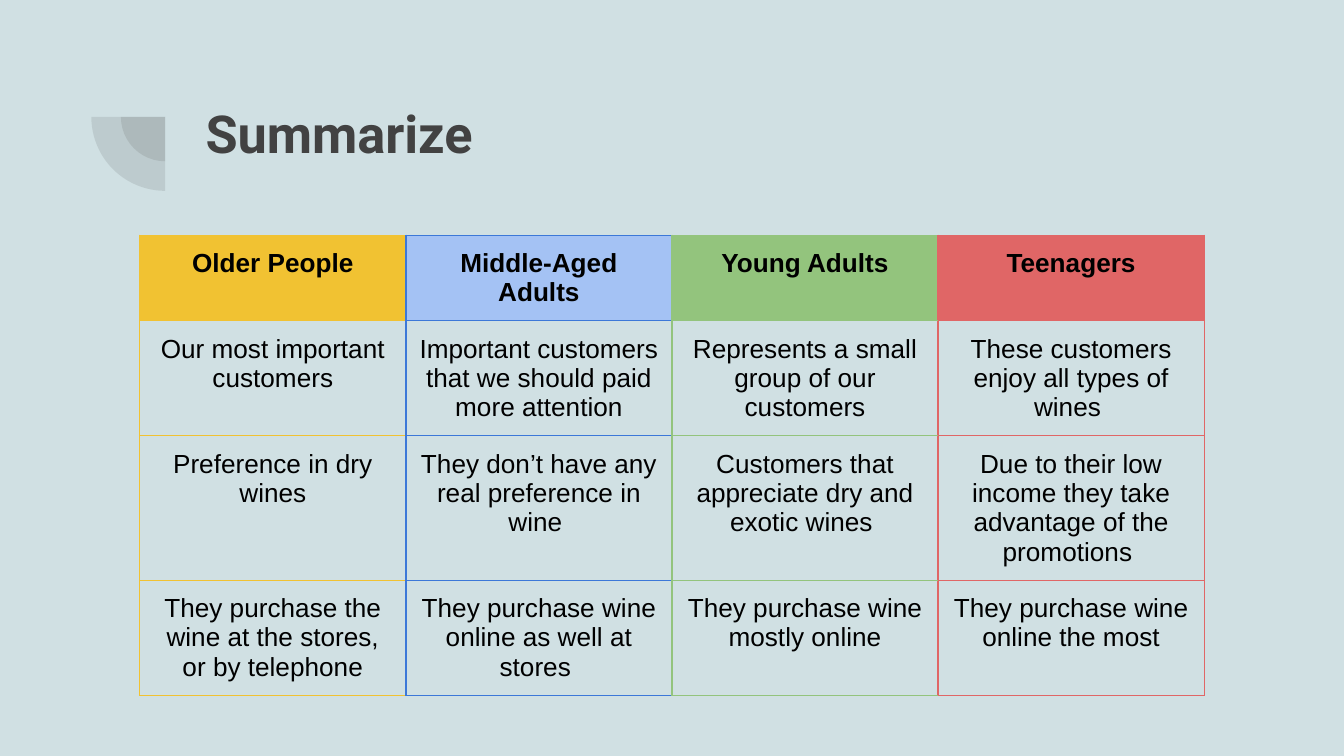
from dataclasses import dataclass

from lxml.etree import SubElement
from pptx import Presentation
from pptx.dml.color import RGBColor as RGB
from pptx.enum.shapes import MSO_SHAPE as SHAPE
from pptx.enum.text import MSO_ANCHOR as ANCHOR, PP_ALIGN as ALIGN
from pptx.oxml.ns import qn
from pptx.util import Inches, Pt


@dataclass(frozen=True)
class Theme:
    """Colours, fonts and type sizes of the slide."""
    background: str = "D0E0E3"
    dark: str = "424242"
    text: str = "000000"
    title_font: str = "Roboto"
    body_font: str = "Arial"
    title_size: int = 28
    body_size: int = 14
    border_width: float = 0.75
    inset: float = 0.1
    pie_alpha: int = 13
    header_fills: tuple = ("F1C232", "A4C2F4", "93C47D", "E06666")
    borders: tuple = ("F1C232", "3C78D8", "93C47D", "E06666")


def write(tf, text, *, font, size, color, bold=False, align=ALIGN.LEFT):
    """Put one formatted paragraph in a text frame."""
    p = tf.paragraphs[0]
    p.alignment = align
    r = p.add_run()
    r.text = text
    r.font.name, r.font.size, r.font.bold = font, Pt(size), bold
    r.font.color.rgb = RGB.from_string(color)


class Deck:
    """Holds the theme and the current slide."""

    def __init__(self, prs, theme):
        """Add a title-only slide with the theme's background."""
        self.theme = theme
        self.s = prs.slides.add_slide(prs.slide_layouts[5])
        fill = self.s.background.fill
        fill.solid()
        fill.fore_color.rgb = RGB.from_string(theme.background)

    def quarter(self, cx, cy, radius):
        """Draw a translucent lower-left quarter disc around a centre."""
        sp = self.s.shapes.add_shape(
            SHAPE.PIE, Inches(cx - radius), Inches(cy - radius),
            Inches(2 * radius), Inches(2 * radius))
        sp.adjustments[0], sp.adjustments[1] = 108, 162
        sp.rotation = 270
        sp.shadow.inherit = False
        sp.line.fill.background()
        sp.fill.solid()
        sp.fill.fore_color.rgb = RGB.from_string(self.theme.dark)
        color = sp.fill._xPr.find(".//" + qn("a:srgbClr"))
        SubElement(color, qn("a:alpha"), val=str(self.theme.pie_alpha * 1000))

    def title(self, text, left, top, width, height):
        """Place and fill the title placeholder."""
        t, sp = self.theme, self.s.shapes.title
        sp.left, sp.top = Inches(left), Inches(top)
        sp.width, sp.height = Inches(width), Inches(height)
        tf = sp.text_frame
        tf.word_wrap, tf.vertical_anchor = True, ANCHOR.TOP
        tf.margin_left = tf.margin_right = Inches(t.inset)
        tf.margin_top = tf.margin_bottom = Inches(t.inset)
        write(tf, text, font=t.title_font, size=t.title_size, color=t.dark, bold=True)

    def border(self, cell, side, color):
        """Draw one side of a cell."""
        ln = SubElement(cell._tc.get_or_add_tcPr(), qn(f"a:ln{side}"),
                        w=str(Pt(self.theme.border_width)))
        SubElement(SubElement(ln, qn("a:solidFill")), qn("a:srgbClr"), val=color)

    def cell(self, cell, text, col, header):
        """Fill and format one table cell in its column's colours."""
        t = self.theme
        own = t.borders[col]
        following = t.borders[min(col + 1, len(t.borders) - 1)]
        for side, color in zip("LRTB", (own, following, own, own)):
            self.border(cell, side, color)
        if header:
            cell.fill.solid()
            cell.fill.fore_color.rgb = RGB.from_string(t.header_fills[col])
        else:
            cell.fill.background()
        cell.margin_left = cell.margin_right = Inches(t.inset)
        cell.margin_top = cell.margin_bottom = Inches(t.inset)
        write(cell.text_frame, text, font=t.body_font, size=t.body_size,
              color=t.text, bold=header, align=ALIGN.CENTER)

    def table(self, rows, left, top, width, height, row_heights):
        """Add a table with equal columns and a header row."""
        frame = self.s.shapes.add_table(
            len(rows), len(rows[0]), Inches(left), Inches(top),
            Inches(width), Inches(height))
        tbl = frame.table
        tbl.first_row = tbl.horz_banding = False
        for row, h in zip(tbl.rows, row_heights):
            row.height = Inches(h)
        frame.height = Inches(height)
        for i, texts in enumerate(rows):
            for j, text in enumerate(texts):
                self.cell(tbl.cell(i, j), text, j, header=i == 0)


ROWS = [
    ("Older People", "Middle-Aged Adults", "Young Adults", "Teenagers"),
    ("Our most important customers",
     "Important customers that we should paid more attention",
     "Represents a small group of our customers",
     "These customers enjoy all types of wines "),
    ("Preference in dry wines",
     "They don’t have any real preference in wine ",
     "Customers that appreciate dry and exotic wines ",
     "Due to their low income they take advantage of the promotions "),
    ("They purchase the wine at the stores, or by telephone",
     "They purchase wine online as well at stores ",
     "They purchase wine mostly online",
     "They purchase wine online the most"),
]


def main():
    """Build and save the slide."""
    prs = Presentation()
    prs.slide_width = Inches(10)
    prs.slide_height = prs.slide_width * 9 // 16
    deck = Deck(prs, Theme())
    for radius in (0.33, 0.55):
        deck.quarter(1.23, 0.87, radius)
    deck.title("Summarize", 1.43, 0.65, 7.69, 1.09)
    deck.table(ROWS, 1.04, 1.75, 7.92, 3.6, (0.42, 0.42, 0.9, 0.42))
    prs.save("out.pptx")


if __name__ == "__main__":
    main()
